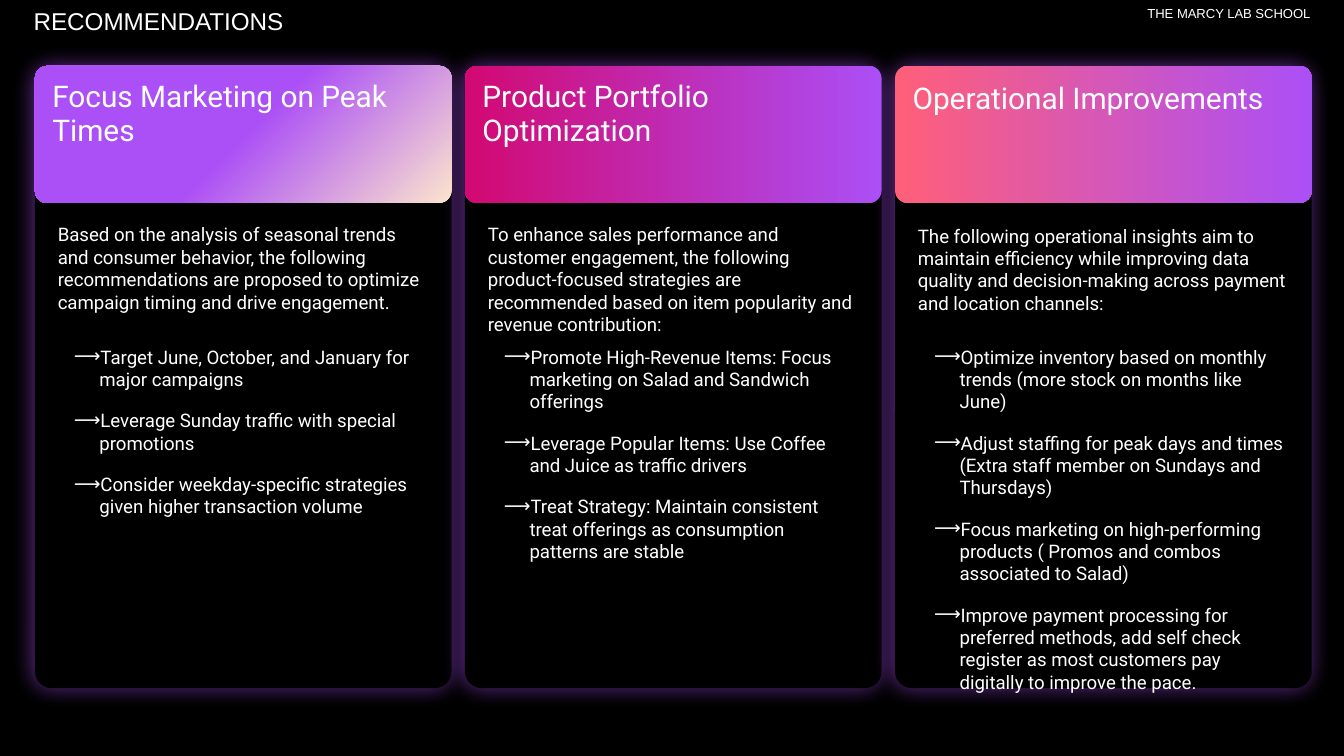
from dataclasses import dataclass
from lxml.etree import SubElement
from pptx import Presentation
from pptx.dml.color import RGBColor
from pptx.enum.shapes import MSO_SHAPE
from pptx.enum.text import MSO_ANCHOR, MSO_AUTO_SIZE, PP_ALIGN
from pptx.oxml.ns import qn
from pptx.util import Inches, Pt

WHITE = "FFFFFF"
BLACK = "000000"
PURPLE = "AB4FF6"
SLIDE_WIDTH = 10
SLIDE_HEIGHT = SLIDE_WIDTH * 9 / 16
COLUMN_LEFT = 0.26
COLUMN_STEP = 3.2
CARD_WIDTH = 3.1
BODY_WIDTH = 2.75


@dataclass
class Recommendation:
    heading: str
    introduction: str
    actions: list[str]
    gradient: list[tuple[int, str]]
    angle: int
    list_height: float
    drop: float = 0


RECOMMENDATIONS = [
    Recommendation(
        "Focus Marketing on Peak Times",
        "Based on the analysis of seasonal trends and consumer behavior, the following "
        "recommendations are proposed to optimize campaign timing and drive engagement.",
        ["Target June, October, and January for major campaigns",
         "Leverage Sunday traffic with special promotions",
         "Consider weekday-specific strategies given higher transaction volume"],
        [(0, "FCE5CD"), (50, PURPLE), (100, PURPLE)], 225, 1.29),
    Recommendation(
        "Product Portfolio Optimization",
        "To enhance sales performance and customer engagement, the following product-focused "
        "strategies are recommended based on item popularity and revenue contribution:",
        ["Promote High-Revenue Items: Focus marketing on Salad and Sandwich offerings",
         "Leverage Popular Items: Use Coffee and Juice as traffic drivers",
         "Treat Strategy: Maintain consistent treat offerings as consumption patterns are stable"],
        [(0, PURPLE), (100, "D20972")], 180, 1.63),
    Recommendation(
        "Operational Improvements",
        "The following operational insights aim to maintain efficiency while improving data "
        "quality and decision-making across payment and location channels:",
        ["Optimize inventory based on monthly trends (more stock on months like June)",
         "Adjust staffing for peak days and times (Extra staff member on Sundays and Thursdays)",
         "Focus marketing on high-performing products ( Promos and combos associated to Salad)",
         "Improve payment processing for preferred methods, add self check register as most "
         "customers pay digitally to improve the pace."],
        [(0, "FF5F79"), (100, PURPLE)], 0, 2.61, 0.01),
]


def color(value: str) -> RGBColor:
    return RGBColor.from_string(value)


def place(shape, left: float, top: float, width: float, height: float) -> None:
    shape.left, shape.top = Inches(left), Inches(top)
    shape.width, shape.height = Inches(width), Inches(height)


def write(shape, lines: list[str], size: float, font: str = "Roboto",
          anchor=MSO_ANCHOR.TOP, alignment=PP_ALIGN.LEFT, line_spacing: float = 1.0) -> None:
    frame = shape.text_frame
    frame.text = "\n".join(lines)
    frame.word_wrap = True
    frame.auto_size = MSO_AUTO_SIZE.NONE
    frame.vertical_anchor = anchor
    frame.margin_left = frame.margin_right = frame.margin_top = frame.margin_bottom = 0
    for paragraph in frame.paragraphs:
        paragraph.alignment = alignment
        paragraph.line_spacing = line_spacing
        paragraph.space_before = paragraph.space_after = Pt(0)
        for run in paragraph.runs:
            run.font.name = font
            run.font.size = Pt(size)
            run.font.bold = False
            run.font.color.rgb = color(WHITE)


def add_bullets(shape) -> None:
    paragraphs = shape.text_frame.paragraphs
    for index, paragraph in enumerate(paragraphs):
        properties = paragraph._p.get_or_add_pPr()
        properties.set("marL", str(Inches(0.31)))
        properties.set("indent", str(Inches(-0.19)))
        bullet_color = SubElement(properties, qn("a:buClr"))
        SubElement(bullet_color, qn("a:srgbClr"), val=WHITE)
        SubElement(properties, qn("a:buFont"), typeface="Roboto")
        SubElement(properties, qn("a:buChar"), char="⟶")
        paragraph.space_before = Pt(10 if index else 0)
    paragraphs[-1].space_after = Pt(10)


def add_panel(slide, left: float, top: float, height: float, radius: float):
    panel = slide.shapes.add_shape(MSO_SHAPE.ROUNDED_RECTANGLE, Inches(left), Inches(top),
                                   Inches(CARD_WIDTH), Inches(height))
    panel.adjustments[0] = radius
    panel.shadow.inherit = False
    panel.fill.solid()
    panel.fill.fore_color.rgb = color(BLACK)
    panel.line.fill.background()
    return panel


def add_glow(shape) -> None:
    effects = shape._element.spPr.find(qn("a:effectLst"))
    shadow = SubElement(effects, qn("a:outerShdw"), blurRad=str(Pt(12.4)), dist=str(Pt(0.8)),
                        dir=str(219 * 60000), algn="bl", rotWithShape="0")
    shadow_color = SubElement(shadow, qn("a:srgbClr"), val=PURPLE)
    SubElement(shadow_color, qn("a:alpha"), val="59000")


def set_gradient(shape, stops: list[tuple[int, str]], angle: int) -> None:
    shape.fill.gradient()
    gradient = shape._element.spPr.find(qn("a:gradFill"))
    for child in list(gradient):
        gradient.remove(child)
    stop_list = SubElement(gradient, qn("a:gsLst"))
    for position, value in stops:
        stop = SubElement(stop_list, qn("a:gs"), pos=str(position * 1000))
        SubElement(stop, qn("a:srgbClr"), val=value)
    SubElement(gradient, qn("a:lin"), ang=str(angle * 60000), scaled="0")


def add_text(slide, left: float, top: float, width: float, height: float):
    return slide.shapes.add_textbox(Inches(left), Inches(top), Inches(width), Inches(height))


def draw_recommendation(slide, recommendation: Recommendation, left: float, list_shape) -> None:
    header = add_panel(slide, left, 0.49, 1.02, 0.09)
    set_gradient(header, recommendation.gradient, recommendation.angle)
    heading = add_text(slide, left + 0.13, 0.6 + recommendation.drop, 2.66, 0.47)
    write(heading, [recommendation.heading], 16, line_spacing=0.95)
    introduction = add_text(slide, left + 0.17, 1.66 + recommendation.drop, BODY_WIDTH, 0.67)
    write(introduction, [recommendation.introduction], 10)
    place(list_shape, left + 0.17, 2.57, BODY_WIDTH, recommendation.list_height)
    write(list_shape, recommendation.actions, 10)
    add_bullets(list_shape)
    slide.shapes._spTree.append(list_shape._element)


def main() -> None:
    presentation = Presentation()
    presentation.slide_width = Inches(SLIDE_WIDTH)
    presentation.slide_height = Inches(SLIDE_HEIGHT)
    slide = presentation.slides.add_slide(presentation.slide_layouts.get_by_name("Comparison"))
    slide.background.fill.solid()
    slide.background.fill.fore_color.rgb = color(BLACK)

    title, *list_shapes = slide.placeholders
    spare = list_shapes.pop()
    spare._element.getparent().remove(spare._element)
    place(title, 0.25, 0.06, 2.73, 0.19)
    write(title, ["RECOMMENDATIONS"], 13, "Arial", MSO_ANCHOR.MIDDLE)
    school = add_text(slide, 7.02, 0.04, 2.73, 0.12)
    write(school, ["THE MARCY LAB SCHOOL"], 7, "Arial", MSO_ANCHOR.MIDDLE, PP_ALIGN.RIGHT)

    lefts = [COLUMN_LEFT + COLUMN_STEP * index for index in range(len(RECOMMENDATIONS))]
    for left in lefts:
        add_glow(add_panel(slide, left, 0.5, 4.62, 0.04))
    for recommendation, left, list_shape in zip(RECOMMENDATIONS, lefts, list_shapes):
        draw_recommendation(slide, recommendation, left, list_shape)
    presentation.save("out.pptx")


if __name__ == "__main__":
    main()
